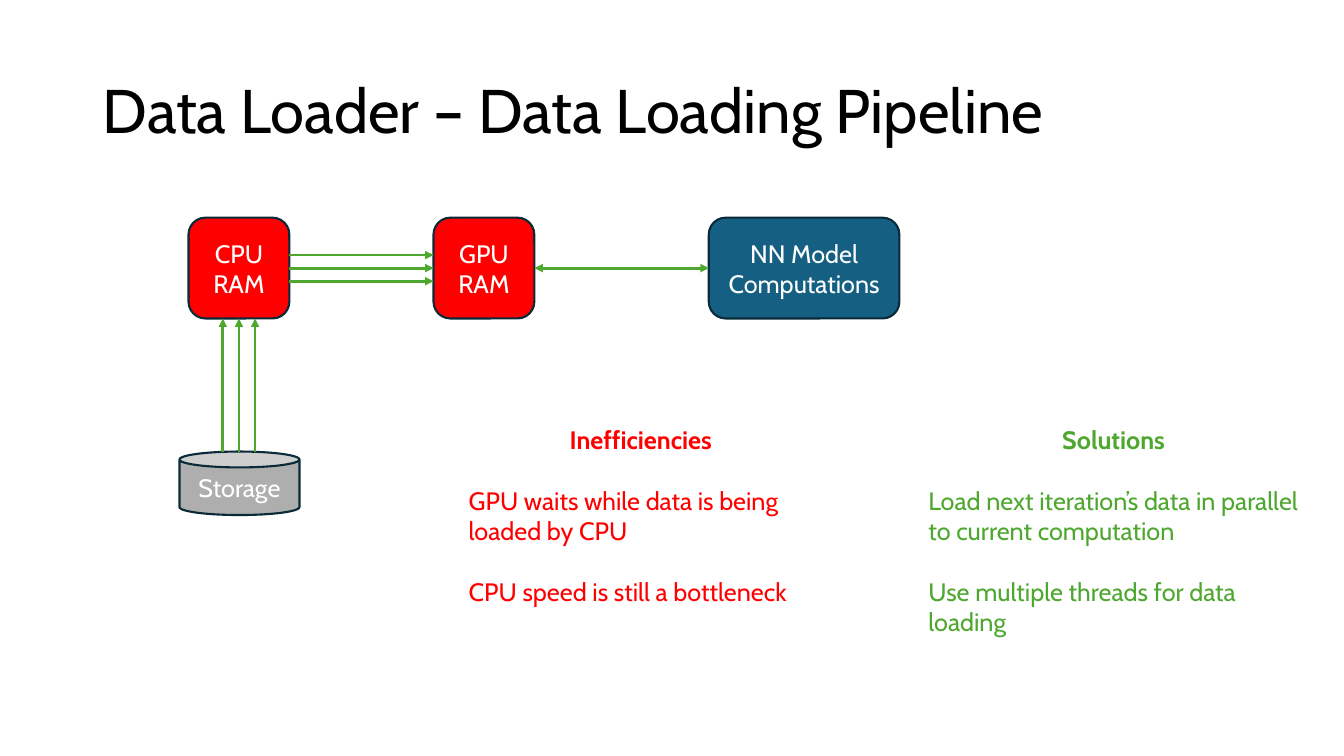
import pptx
import pptx.dml.color
import pptx.enum.shapes
import pptx.enum.text
import pptx.oxml
import pptx.oxml.ns
import pptx.util
from pptx.util import Inches

FONT = "Cabin"
COLORS = {
    "title": "000000",
    "label": "FFFFFF",
    "outline": "092A39",
    "memory": "FF0000",
    "model": "156082",
    "storage": "AEAEAE",
    "flow": "4EA72E",
    "problem": "FF0000",
    "solution": "4EA72E",
}
SHAPES = pptx.enum.shapes.MSO_SHAPE
ALIGN = pptx.enum.text.PP_ALIGN
ANCHOR = pptx.enum.text.MSO_ANCHOR
AUTO_SIZE = pptx.enum.text.MSO_AUTO_SIZE


def color(name):
    return pptx.dml.color.RGBColor.from_string(COLORS[name])


def add_span(para, text, size, color_name, bold=False):
    span = para.add_run()
    span.text = text
    span.font.name = FONT
    span.font.size = pptx.util.Pt(size)
    span.font.bold = bold
    span.font.color.rgb = color(color_name)


def add_title(page, text, left, top, width, height):
    title = page.shapes.title
    title.left, title.top = Inches(left), Inches(top)
    title.width, title.height = Inches(width), Inches(height)
    frame = title.text_frame
    frame.word_wrap = True
    frame.auto_size = AUTO_SIZE.NONE
    frame.vertical_anchor = ANCHOR.MIDDLE
    para = frame.paragraphs[0]
    para.alignment = ALIGN.LEFT
    para.line_spacing = 0.9
    add_span(para, text, 44, "title")


def add_node(page, kind, text, fill, left, top, width, height):
    node = page.shapes.add_shape(
        kind, Inches(left), Inches(top), Inches(width), Inches(height))
    node.shadow.inherit = False
    node.fill.solid()
    node.fill.fore_color.rgb = color(fill)
    node.line.color.rgb = color("outline")
    node.line.width = pptx.util.Pt(1.5)
    frame = node.text_frame
    frame.word_wrap = True
    frame.vertical_anchor = ANCHOR.MIDDLE
    para = frame.paragraphs[0]
    para.alignment = ALIGN.CENTER
    add_span(para, text, 18, "label")


def add_arrow(page, start, end, both_ways=False):
    arrow = page.shapes.add_connector(
        pptx.enum.shapes.MSO_CONNECTOR.STRAIGHT,
        *(Inches(value) for value in start + end))
    arrow.line.color.rgb = color("flow")
    arrow.line.width = pptx.util.Pt(2)
    line = arrow.line._get_or_add_ln()
    for tag in ("a:headEnd", "a:tailEnd") if both_ways else ("a:tailEnd",):
        tip = pptx.oxml.xmlchemy.OxmlElement(tag)
        tip.set("type", "triangle")
        line.append(tip)
    properties = arrow._element.find(pptx.oxml.ns.qn("p:spPr"))
    properties.append(pptx.oxml.xmlchemy.OxmlElement("a:effectLst"))


def add_pipeline(page, left, top):
    """Draw the storage, memory and model nodes and the data flow between them."""
    side = 1
    model_width = 1.89
    gpu_left, model_left = left + 2.43, left + 5.16
    storage_top = top + 2.32
    center_x, center_y = left + side / 2, top + side / 2

    add_node(page, SHAPES.CAN, "Storage", "storage",
             left - 0.09, storage_top, 1.19, 0.63)
    for text, fill, node_left, width in (
            ("CPU RAM", "memory", left, side),
            ("GPU RAM", "memory", gpu_left, side),
            ("NN Model Computations", "model", model_left, model_width)):
        add_node(page, SHAPES.ROUNDED_RECTANGLE, text, fill,
                 node_left, top, width, side)

    for step in (-1, 0, 1):
        x = center_x + step * 0.16
        y = center_y + step * 0.13
        add_arrow(page, (x, storage_top), (x, top + side))
        add_arrow(page, (left + side, y), (gpu_left, y))
    add_arrow(page, (gpu_left + side, center_y), (model_left, center_y),
              both_ways=True)


def add_column(page, heading, points, color_name, left, top, width, height):
    box = page.shapes.add_textbox(
        Inches(left), Inches(top), Inches(width), Inches(height))
    frame = box.text_frame
    frame.word_wrap = True
    frame.auto_size = AUTO_SIZE.SHAPE_TO_FIT_TEXT
    para = frame.paragraphs[0]
    para.alignment = ALIGN.CENTER
    add_span(para, heading, 18, color_name, bold=True)
    for point in points:
        para = frame.add_paragraph()
        para.alignment = ALIGN.LEFT
        para.space_before = pptx.util.Pt(21.9)
        add_span(para, point, 18, color_name)


def main():
    deck = pptx.Presentation()
    deck.slide_width, deck.slide_height = Inches(13.33), Inches(7.5)
    page = deck.slides.add_slide(deck.slide_layouts.get_by_name("Title Only"))
    add_title(page, "Data Loader – Data Loading Pipeline", 0.92, 0.4, 11.5, 1.45)
    add_pipeline(page, 1.87, 2.16)
    add_column(page, "Inefficiencies",
               ("GPU waits while data is being loaded by CPU",
                "CPU speed is still a bottleneck"),
               "problem", 4.55, 4.16, 3.61, 1.92)
    add_column(page, "Solutions",
               ("Load next iteration’s data in parallel to current computation",
                "Use multiple threads for data loading"),
               "solution", 9.11, 4.16, 3.87, 2.22)
    deck.save("out.pptx")


if __name__ == "__main__":
    main()
